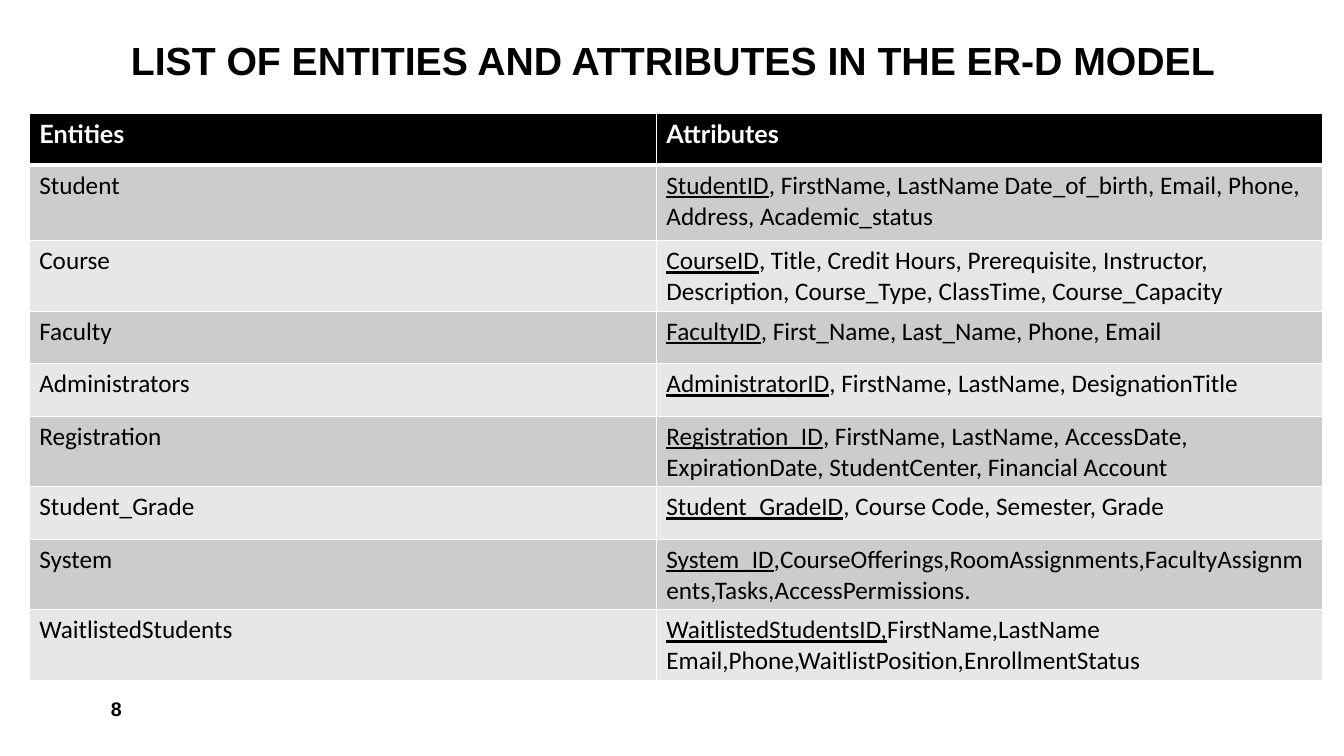
from lxml import etree
from pptx import Presentation
from pptx.dml.color import RGBColor
from pptx.enum import text
from pptx.oxml import ns
from pptx.util import Inches, Pt

BLACK = RGBColor(0x00, 0x00, 0x00)
WHITE = RGBColor(0xFF, 0xFF, 0xFF)
DARK_BAND = RGBColor(0xCC, 0xCC, 0xCC)
LIGHT_BAND = RGBColor(0xE7, 0xE7, 0xE7)

HEADINGS = ("Entities", "Attributes")
# Entity, key attribute (underlined), other attributes
ENTITIES = [
    ("Student", "StudentID",
     ", FirstName, LastName Date_of_birth, Email, Phone, Address, Academic_status"),
    ("Course", "CourseID",
     ", Title, Credit Hours, Prerequisite, Instructor, Description, "
     "Course_Type, ClassTime, Course_Capacity"),
    ("Faculty", "FacultyID", ", First_Name, Last_Name, Phone, Email"),
    ("Administrators", "AdministratorID", ", FirstName, LastName, DesignationTitle"),
    ("Registration", "Registration_ID",
     ", FirstName, LastName, AccessDate, ExpirationDate, StudentCenter, Financial Account"),
    ("Student_Grade", "Student_GradeID", ", Course Code, Semester, Grade"),
    ("System", "System_ID",
     ",CourseOfferings,RoomAssignments,FacultyAssignments,Tasks,AccessPermissions."),
    ("WaitlistedStudents", "WaitlistedStudentsID,",
     "FirstName,LastName Email,Phone,WaitlistPosition,EnrollmentStatus"),
]

HEADING_FONT = {"name": "Lato", "size": Pt(18), "bold": True}
BODY_FONT = {"name": "Calibri", "size": Pt(18), "bold": False}
KEY_FONT = {**BODY_FONT, "underline": True}
TITLE_FONT = {"name": "Arial", "size": Pt(28), "bold": True}
NUMBER_FONT = {"name": "Arial", "size": Pt(14), "bold": True}


def add_run(paragraph, words, font, color=BLACK):
    run = paragraph.add_run()
    run.text = words
    for name, value in font.items():
        setattr(run.font, name, value)
    run.font.color.rgb = color


def add_text(slide, box, words, font, anchor, line_spacing=1.0):
    frame = slide.shapes.add_textbox(*map(Inches, box)).text_frame
    frame.word_wrap = True
    frame.vertical_anchor = anchor
    paragraph = frame.paragraphs[0]
    paragraph.line_spacing = line_spacing
    add_run(paragraph, words, font)


def style_cell(cell, fill, top=1, bottom=1):
    """Give the cell white borders, in points, and a solid fill."""
    properties = cell._tc.get_or_add_tcPr()
    for side, width in {"L": 1, "R": 1, "T": top, "B": bottom}.items():
        line = etree.SubElement(properties, ns.qn(f"a:ln{side}"), w=str(Pt(width)))
        solid = etree.SubElement(line, ns.qn("a:solidFill"))
        etree.SubElement(solid, ns.qn("a:srgbClr"), val=str(WHITE))
    cell.fill.solid()
    cell.fill.fore_color.rgb = fill


def add_entity_table(slide, box):
    table = slide.shapes.add_table(
        len(ENTITIES) + 1, len(HEADINGS), *map(Inches, box)).table
    for column, width in zip(table.columns, (6.22, 6.61)):
        column.width = Inches(width)
    for row in table.rows:
        row.height = Inches(0.52)
    table.rows[0].height = Inches(0.51)
    table.rows[1].height = Inches(0.75)

    for column, heading in enumerate(HEADINGS):
        cell = table.cell(0, column)
        style_cell(cell, BLACK, bottom=3)
        add_run(cell.text_frame.paragraphs[0], heading, HEADING_FONT, WHITE)

    for row, (entity, key, others) in enumerate(ENTITIES, start=1):
        name_cell, attribute_cell = table.cell(row, 0), table.cell(row, 1)
        for cell in (name_cell, attribute_cell):
            style_cell(cell, DARK_BAND if row % 2 else LIGHT_BAND,
                       top=3 if row == 1 else 1)
        add_run(name_cell.text_frame.paragraphs[0], entity, BODY_FONT)
        attributes = attribute_cell.text_frame.paragraphs[0]
        add_run(attributes, key, KEY_FONT)
        add_run(attributes, others, BODY_FONT)


def main():
    presentation = Presentation()
    presentation.slide_width = Inches(13.33)
    presentation.slide_height = Inches(7.5)
    slide = presentation.slides.add_slide(presentation.slide_layouts[6])
    add_text(slide, (1.2, 0.27, 11.38, 0.61),
             "LIST OF ENTITIES AND ATTRIBUTES IN THE ER-D MODEL",
             TITLE_FONT, text.MSO_ANCHOR.BOTTOM, line_spacing=0.9)
    add_entity_table(slide, (0.29, 1.13, 12.83, 5.61))
    add_text(slide, (1, 6.83, 2.92, 0.4), "8", NUMBER_FONT, text.MSO_ANCHOR.MIDDLE)
    presentation.save("out.pptx")


if __name__ == "__main__":
    main()
